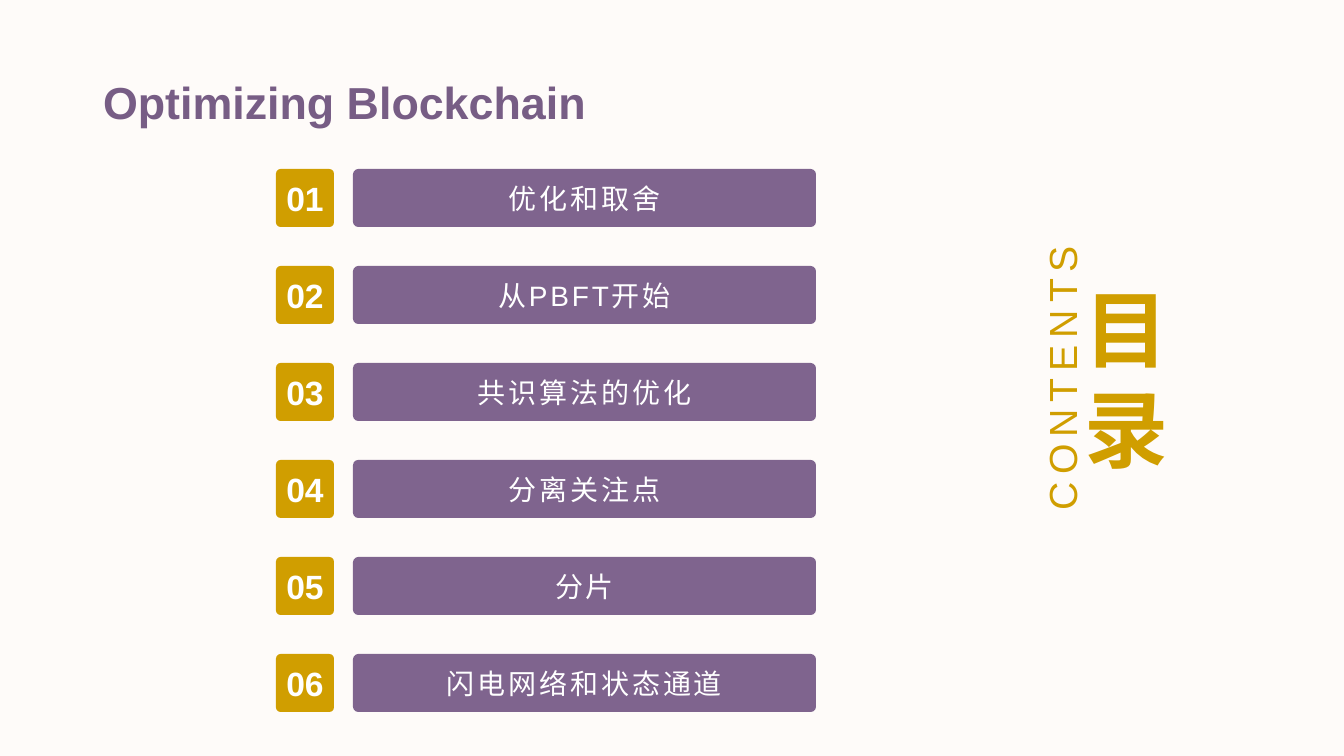
from dataclasses import dataclass

from pptx import Presentation
from pptx.dml.color import RGBColor
from pptx.enum.lang import MSO_LANGUAGE_ID
from pptx.enum.shapes import MSO_SHAPE
from pptx.enum.text import MSO_ANCHOR, PP_ALIGN
from pptx.util import Emu, Pt

ROUND = MSO_SHAPE.ROUNDED_RECTANGLE
MIDDLE = MSO_ANCHOR.MIDDLE
LEFT, CENTER = PP_ALIGN.LEFT, PP_ALIGN.CENTER
CHINESE = MSO_LANGUAGE_ID.SIMPLIFIED_CHINESE

TOPICS = ["优化和取舍", "从PBFT开始", "共识算法的优化",
          "分离关注点", "分片", "闪电网络和状态通道"]
FIRST, PITCH, SIDE = 169, 97, 58  # top of row one, row step, row height


@dataclass(frozen=True)
class Theme:
    font: str = "Arial"
    paper: str = "FEFBF9"
    gold: str = "D09E00"
    purple: str = "7F648E"
    title: str = "775D85"
    white: str = "FFFFFF"
    head: int = 32
    number: int = 24
    topic: int = 20
    side: int = 28
    big: int = 60


THEME = Theme()


def px(n):
    return Emu(round(n * 914400 / 100.8))


def paint(fill, color):
    fill.solid()
    fill.fore_color.rgb = RGBColor.from_string(color)


def write(shape, text, size, color, bold=False, align=CENTER, gap=0,
          wrap=True, inset=None, line=None):
    """Put one formatted paragraph in a shape; gap is letter spacing in points."""
    frame = shape.text_frame
    frame.word_wrap = wrap
    frame.vertical_anchor = MIDDLE
    if inset is not None:
        frame.margin_left = frame.margin_right = px(inset)
        frame.margin_top = frame.margin_bottom = px(inset)
    para = frame.paragraphs[0]
    para.alignment = align
    if line:
        para.line_spacing = line
    run = para.add_run()
    run.text = text
    font = run.font
    font.name, font.size, font.bold = THEME.font, Pt(size), bold
    font.color.rgb = RGBColor.from_string(color)
    font.language_id = CHINESE
    if gap:
        run._r.get_or_add_rPr().set("spc", str(gap * 100))


def tile(shapes, x, y, w, color, curve):
    box = shapes.add_shape(ROUND, px(x), px(y), px(w), px(SIDE))
    box.adjustments[0] = curve
    box.shadow.inherit = False
    box.line.fill.background()
    paint(box.fill, color)
    return box


def row(slide, index, topic):
    shapes = slide.shapes.add_group_shape().shapes
    y = FIRST + index * PITCH
    badge = tile(shapes, 276, y, SIDE, THEME.gold, 0.08)
    write(badge, f"{index + 1:02}", THEME.number, THEME.white, bold=True, inset=0)
    bar = tile(shapes, 353, y, 463, THEME.purple, 0.09)
    write(bar, topic, THEME.topic, THEME.white, gap=2)


def label(slide, x, y, w, h, text, size, turn=0, **style):
    box = slide.shapes.add_textbox(px(x), px(y), px(w), px(h))
    box.rotation = turn
    write(box, text, size, THEME.gold, **style)


def head(slide, text):
    title = slide.shapes.title
    title.left, title.top = px(93), px(32)
    title.width, title.height = px(1159), px(146)
    write(title, text, THEME.head, THEME.title, bold=True, align=LEFT, line=0.9)


def main():
    deck = Presentation()
    deck.slide_width, deck.slide_height = px(1344), px(756)
    slide = deck.slides.add_slide(deck.slide_layouts[5])
    paint(slide.background.fill, THEME.paper)

    # Title and numbered topics
    head(slide, "Optimizing Blockchain")
    for index, topic in enumerate(TOPICS):
        row(slide, index, topic)

    # Contents heading on the right
    label(slide, 896, 350, 331, 56, "CONTENTS", THEME.side,
          turn=270, gap=5, wrap=False)
    label(slide, 1075, 233, 119, 290, "目录", THEME.big, bold=True, align=LEFT)

    deck.save("out.pptx")


if __name__ == "__main__":
    main()
